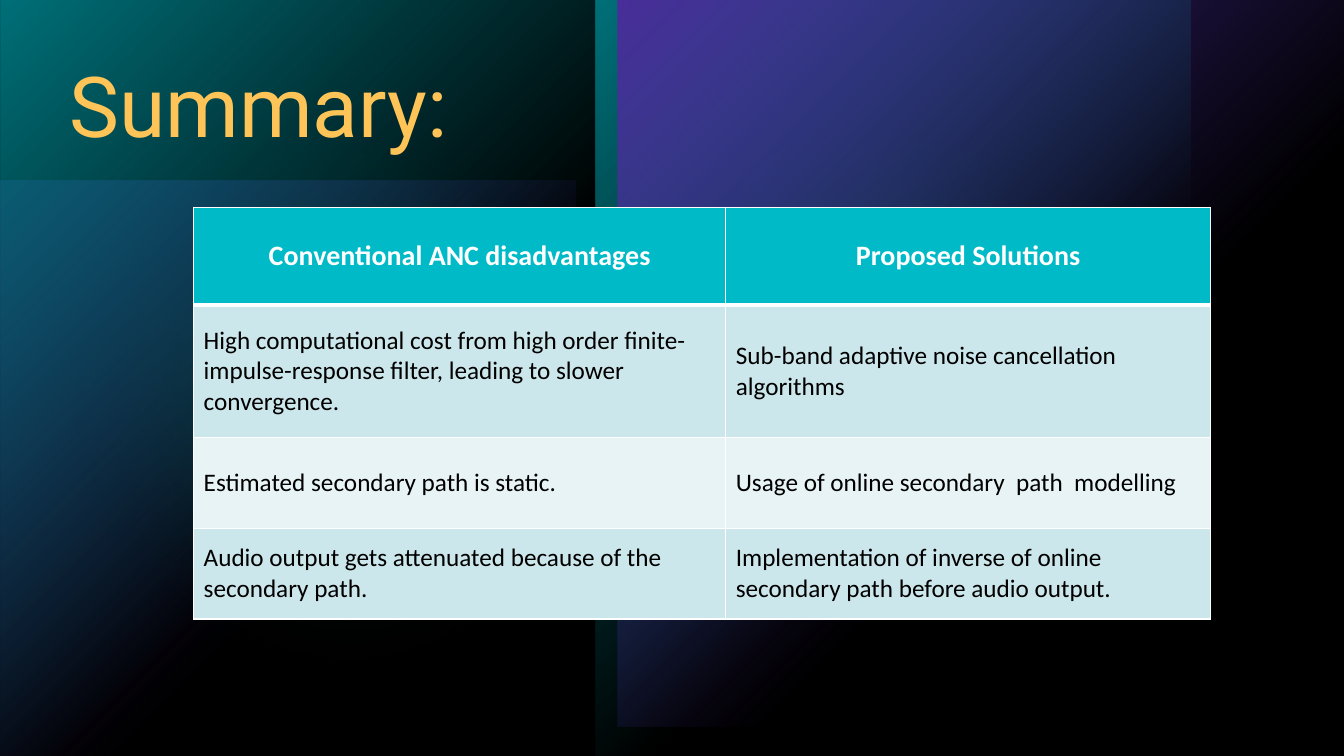
from lxml import etree
from pptx import Presentation
from pptx import util as u
from pptx.dml.color import RGBColor
from pptx.enum import shapes, text
from pptx.oxml import ns

BLACK = RGBColor(0x00, 0x00, 0x00)
WHITE = RGBColor(0xFF, 0xFF, 0xFF)
VIOLET = RGBColor(0x79, 0x4D, 0xFF)
GREEN = RGBColor(0x00, 0xD1, 0x7D)
TEAL = RGBColor(0x00, 0xBA, 0xC8)
AMBER = RGBColor(0xFF, 0xC4, 0x57)
PALE_TEAL = RGBColor(0xCC, 0xE7, 0xEB)
PALEST_TEAL = RGBColor(0xE7, 0xF3, 0xF5)

WIDTH, HEIGHT = 33.87, 19.05


def add_xml(parent, tag, **attributes):
    element = etree.SubElement(parent, ns.qn(tag))
    for name, value in attributes.items():
        element.set(name, str(value))
    return element


def add_color(parent, color, opacity=100):
    element = add_xml(parent, "a:srgbClr", val=color)
    if opacity < 100:
        add_xml(element, "a:alpha", val=opacity * 1000)


class SlideBuilder:
    title_font = "Roboto"
    body_font = "Calibri"

    def __init__(self, slide):
        self.slide = slide

    def background(self, color):
        fill = self.slide.background.fill
        fill.solid()
        fill.fore_color.rgb = color

    def shape(self, kind, left, top, width, height, rotation=0, flips=""):
        shape = self.slide.shapes.add_shape(
            kind, u.Cm(left), u.Cm(top), u.Cm(width), u.Cm(height))
        shape.shadow.inherit = False
        shape.line.fill.background()
        shape.rotation = rotation
        for axis in flips:
            shape._element.spPr.xfrm.set(f"flip{axis}", "1")
        return shape

    def veil(self, kind, box, color, opacity, soft_edge=0):
        shape = self.shape(kind, *box)
        shape.fill.solid()
        shape.fill.fore_color.rgb = color
        properties = shape._element.spPr
        add_xml(properties.find(".//" + ns.qn("a:srgbClr")), "a:alpha", val=opacity * 1000)
        if soft_edge:
            effects = properties.find(ns.qn("a:effectLst"))
            add_xml(effects, "a:softEdge", rad=u.Cm(soft_edge))

    def glow(self, box, color, opacity=100, rotation=0, flips="V"):
        shape = self.shape(shapes.MSO_SHAPE.RECTANGLE, *box, rotation, flips)
        shape.fill.background()
        properties = shape._element.spPr
        no_fill = properties.find(ns.qn("a:noFill"))
        gradient = etree.Element(ns.qn("a:gradFill"), rotWithShape="1")
        stops = add_xml(gradient, "a:gsLst")
        for position, strength in ((0, opacity), (60, 0)):
            add_color(add_xml(stops, "a:gs", pos=position * 1000), color, strength)
        circle = add_xml(gradient, "a:path", path="circle")
        add_xml(circle, "a:fillToRect", r=100000, b=100000)
        properties.replace(no_fill, gradient)

    def format_text(self, paragraph, font_name, size, color, bold=False):
        for run in paragraph.runs:
            run.font.name = font_name
            run.font.size = u.Pt(size)
            run.font.color.rgb = color
            run.font.bold = bold

    def title(self, wording, left, top, width, height):
        box = self.slide.shapes.add_textbox(
            u.Cm(left), u.Cm(top), u.Cm(width), u.Cm(height))
        box.text_frame.word_wrap = True
        box.text_frame.text = wording
        paragraph = box.text_frame.paragraphs[0]
        paragraph.line_spacing = 0.9
        self.format_text(paragraph, self.title_font, 60, AMBER)

    def border(self, cell, side, width):
        properties = cell._tc.get_or_add_tcPr()
        line = etree.Element(ns.qn(f"a:ln{side}"), w=str(u.Pt(width)))
        add_color(add_xml(line, "a:solidFill"), WHITE)
        properties.insert("LRTB".index(side), line)

    def cell(self, cell, wording, row):
        header = row == 0
        cell.text_frame.text = wording
        cell.vertical_anchor = text.MSO_ANCHOR.MIDDLE
        paragraph = cell.text_frame.paragraphs[0]
        if header:
            paragraph.alignment = text.PP_ALIGN.CENTER
            self.format_text(paragraph, self.body_font, 20, WHITE, True)
        else:
            self.format_text(paragraph, self.body_font, 18, BLACK)
        cell.fill.solid()
        cell.fill.fore_color.rgb = TEAL if header else (PALEST_TEAL, PALE_TEAL)[row % 2]
        for side in "LRTB":
            thick = (side, row) in (("B", 0), ("T", 1))
            self.border(cell, side, 3 if thick else 1)

    def table(self, rows, left, top, widths, heights):
        frame = self.slide.shapes.add_table(
            len(heights), len(widths), u.Cm(left), u.Cm(top),
            u.Cm(sum(widths)), u.Cm(sum(heights)))
        table = frame.table
        for column, width in zip(table.columns, widths):
            column.width = u.Cm(width)
        for table_row, height in zip(table.rows, heights):
            table_row.height = u.Cm(height)
        for row, wordings in enumerate(rows):
            for column, wording in enumerate(wordings):
                self.cell(table.cell(row, column), wording, row)


def main():
    presentation = Presentation()
    presentation.slide_width = u.Cm(WIDTH)
    presentation.slide_height = u.Cm(HEIGHT)
    slide = presentation.slides.add_slide(presentation.slide_layouts[6])
    builder = SlideBuilder(slide)
    rectangle, oval = shapes.MSO_SHAPE.RECTANGLE, shapes.MSO_SHAPE.OVAL

    builder.background(BLACK)
    builder.glow((0, 4.56, 14.5, 14.5), VIOLET, 60)
    builder.veil(oval, (15.98, 1.09, 12, 12), GREEN, 60, 3.53)
    builder.veil(oval, (0, 1.42, 17.63, 17.63), GREEN, 20, 3.53)
    builder.glow((0, 0, 15, HEIGHT), TEAL, rotation=180)
    builder.glow((15, 0, 15, HEIGHT), TEAL, rotation=180, flips="HV")
    builder.glow((15.56, 0, 18.31, 18.31), VIOLET, rotation=180)
    builder.veil(rectangle, (0, 0, WIDTH, HEIGHT), BLACK, 40)

    builder.title("Summary:", 1.5, 1.5, 30.84, 5.03)
    builder.table(
        [
            ("Conventional ANC disadvantages", "Proposed Solutions"),
            ("High computational cost from high order finite-impulse-response filter, "
             "leading to slower convergence.",
             "Sub-band adaptive noise cancellation algorithms"),
            ("Estimated secondary path is static.",
             "Usage of online secondary  path  modelling"),
            ("Audio output gets attenuated because of the secondary path.",
             "Implementation of inverse of online secondary path before audio output."),
        ],
        4.88, 5.23, (13.41, 12.22), (2.46, 3.33, 2.29, 2.29))
    presentation.save("out.pptx")


if __name__ == "__main__":
    main()
